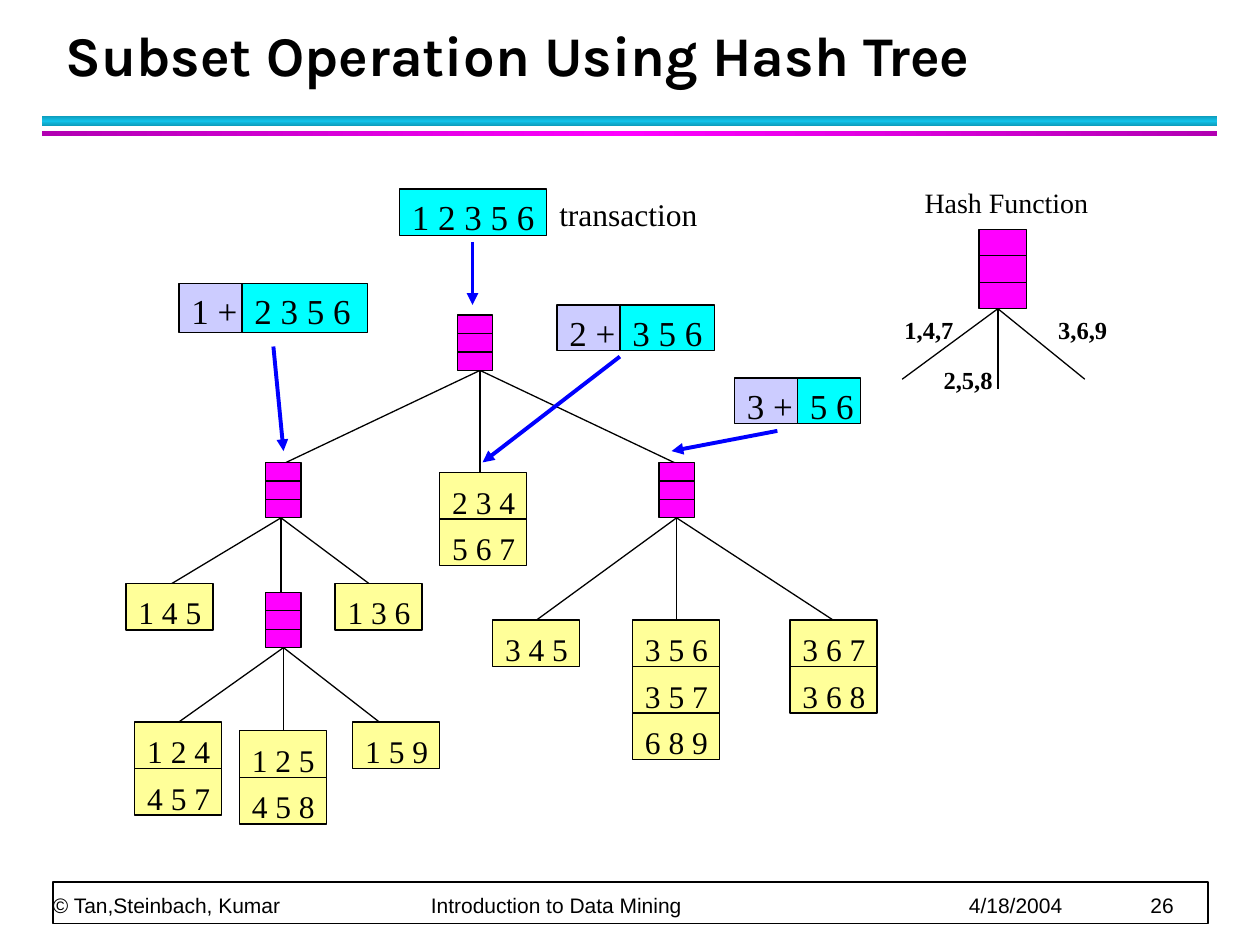
from copy import deepcopy
from typing import NamedTuple

from lxml import etree
from pptx import Presentation
from pptx.dml.color import RGBColor
from pptx.enum import shapes, text
from pptx.oxml import ns
from pptx.util import Inches, Pt

BLACK = RGBColor(0, 0, 0)
WHITE = RGBColor(255, 255, 255)
PINK = RGBColor(255, 0, 255)
PLUM = RGBColor(0xB2, 0, 0xB2)
CYAN = RGBColor(0, 255, 255)
SKY = RGBColor(0x12, 0xC2, 0xE9)
TEAL = RGBColor(0x0E, 0x9B, 0xBA)
LILAC = RGBColor(0xCC, 0xCC, 0xFF)
CREAM = RGBColor(0xFF, 0xFF, 0x99)
BLUE = RGBColor(0, 0, 255)
SERIF = "Times New Roman"
LEAF_W, LEAF_H = 0.69, 0.37
CELL_W = 0.5


class Node(NamedTuple):
    """A three-cell hash node with edges from its stem to each end."""
    left: float
    top: float
    width: float
    height: float
    stem: float
    ends: list[tuple[float, float]]


class Leaf(NamedTuple):
    left: float
    top: float
    rows: list[str]


class Split(NamedTuple):
    """A chosen prefix item beside the items still to be matched."""
    left: float
    top: float
    height: float
    head: str
    rest: str
    width: float


class Arrow(NamedTuple):
    x1: float
    y1: float
    x2: float
    y2: float


class Label(NamedTuple):
    left: float
    top: float
    width: float
    words: str
    size: int
    bold: bool


NODES = [
    Node(3.63, 2.5, 0.28, 0.44, 3.81, [(2.25, 3.68), (3.81, 3.75), (5.37, 3.68)]),
    Node(2.11, 3.67, 0.28, 0.44, 2.23, [(1.35, 4.64), (2.23, 4.7), (2.94, 4.64)]),
    Node(5.23, 3.67, 0.28, 0.44, 5.37, [(4.26, 4.92), (5.37, 4.92), (6.61, 4.92)]),
    Node(2.11, 4.7, 0.28, 0.44, 2.25, [(1.42, 5.73), (2.25, 5.8), (3.01, 5.73)]),
    Node(7.77, 1.82, 0.38, 0.63, 7.92, [(7.16, 3.01), (7.92, 3.09), (8.61, 3.01)]),
]
LEAVES = [
    Leaf(1, 4.63, ["1 4 5"]),
    Leaf(2.66, 4.63, ["1 3 6"]),
    Leaf(3.49, 3.75, ["2 3 4", "5 6 7"]),
    Leaf(1.07, 5.73, ["1 2 4", "4 5 7"]),
    Leaf(1.9, 5.8, ["1 2 5", "4 5 8"]),
    Leaf(2.8, 5.73, ["1 5 9"]),
    Leaf(3.91, 4.92, ["3 4 5"]),
    Leaf(5.02, 4.92, ["3 5 6", "3 5 7", "6 8 9"]),
    Leaf(6.27, 4.92, ["3 6 7", "3 6 8"]),
]
SPLITS = [
    Split(1.42, 2.25, 0.39, "1 +", "2 3 5 6", 1),
    Split(4.42, 2.42, 0.36, "2 +", "3 5 6", 0.75),
    Split(5.83, 3, 0.36, "3 +", "5 6", 0.5),
]
ARROWS = [
    Arrow(3.75, 1.92, 3.75, 2.42),
    Arrow(2.17, 2.75, 2.25, 3.58),
    Arrow(4.92, 2.83, 3.83, 3.67),
    Arrow(6.17, 3.42, 5.33, 3.58),
]
LABELS = [
    Label(4.34, 1.5, 1.29, "transaction", 18, False),
    Label(7.24, 1.42, 1.5, "Hash Function", 16, False),
    Label(7.08, 2.45, 0.59, "1,4,7", 14, True),
    Label(7.39, 2.85, 0.59, "2,5,8", 14, True),
    Label(8.3, 2.45, 0.59, "3,6,9", 14, True),
]

deck = Presentation()
deck.slide_width, deck.slide_height = Inches(10), Inches(7.5)
slide = deck.slides.add_slide(deck.slide_layouts[5])


def write(shape, words, size, font=SERIF, bold=False, pad=(0.1, 0.05, 0, 0),
          anchor=text.MSO_ANCHOR.TOP, lead=None):
    frame = shape.text_frame
    frame.word_wrap = True
    frame.auto_size = text.MSO_AUTO_SIZE.NONE
    frame.vertical_anchor = anchor
    (frame.margin_left, frame.margin_top,
     frame.margin_right, frame.margin_bottom) = map(Inches, pad)
    para = frame.paragraphs[0]
    para.alignment = text.PP_ALIGN.LEFT
    if lead:
        para.line_spacing = Pt(lead)
    run = para.add_run()
    run.text = words
    run.font.size, run.font.name, run.font.bold = Pt(size), font, bold
    run.font.color.rgb = BLACK
    return para


def add_box(left: float, top: float, width: float, height: float,
            fill: RGBColor, weight: float = 0.75):
    box = slide.shapes.add_shape(shapes.MSO_SHAPE.RECTANGLE,
                                 *map(Inches, (left, top, width, height)))
    box.shadow.inherit = False
    box.fill.solid()
    box.fill.fore_color.rgb = fill
    box.line.color.rgb = BLACK
    box.line.width = Pt(weight)
    return box


def add_line(x1: float, y1: float, x2: float, y2: float,
             color: RGBColor = BLACK, weight: float = 0.75, arrow: bool = False):
    line = slide.shapes.add_connector(shapes.MSO_CONNECTOR.STRAIGHT,
                                      *map(Inches, (x1, y1, x2, y2)))
    line.line.color.rgb = color
    line.line.width = Pt(weight)
    if arrow:
        etree.SubElement(line.line._get_or_add_ln(), ns.qn("a:tailEnd"), type="triangle")
    etree.SubElement(line._element.spPr, ns.qn("a:effectLst"))


def add_band(top: float, height: float, edge: RGBColor, mid: RGBColor, angle: int):
    """Draw a title rule shaded from edge to mid and back."""
    band = add_box(0.33, top, 9.33, height, edge)
    band.line.fill.background()
    band.fill.gradient()
    band.fill.gradient_angle = angle
    stops = band.fill.gradient_stops
    stops[0].color.rgb, stops[1].color.rgb = edge, mid
    stops[1].position = 0.5
    first = band._element.spPr.find(".//" + ns.qn("a:gs"))
    last = deepcopy(first)
    last.set("pos", "100000")
    first.getparent().append(last)


def add_node(node: Node):
    add_box(node.left, node.top, node.width, node.height, PINK)
    for i in (1, 2):
        y = node.top + node.height * i / 3
        add_line(node.left, y, node.left + node.width, y)


def add_leaf(leaf: Leaf):
    for i, row in enumerate(leaf.rows):
        box = add_box(leaf.left, leaf.top + i * LEAF_H, LEAF_W, LEAF_H, CREAM)
        write(box, row, 18, pad=(0.1, 0.08, 0, 0))


def add_split(split: Split):
    head = add_box(split.left, split.top, CELL_W, split.height, LILAC)
    write(head, split.head, 20)
    rest = add_box(split.left + CELL_W, split.top, split.width, split.height, CYAN)
    write(rest, split.rest, 20)


def add_text(left: float, top: float, width: float, height: float):
    return slide.shapes.add_textbox(*map(Inches, (left, top, width, height)))


def add_foot():
    add_box(0.42, 7, 9.17, 0.33, WHITE, 1)
    words = "© Tan,Steinbach, Kumar\tIntroduction to Data Mining\t4/18/2004\t26"
    para = write(add_text(0.42, 6.72, 9.15, 0.56), words, 12, "Arial",
                 pad=(0, 0, 0, 0), anchor=text.MSO_ANCHOR.BOTTOM, lead=20)
    tabs = etree.SubElement(para._p.get_or_add_pPr(), ns.qn("a:tabLst"))
    for stop in (3, 7.27, 8.71):
        etree.SubElement(tabs, ns.qn("a:tab"), pos=str(Inches(stop)), algn="l")


def main():
    add_band(0.92, 0.08, TEAL, SKY, 90)
    add_band(1.04, 0.04, PLUM, PINK, 0)
    add_foot()
    title = slide.shapes.title
    title.left, title.top, title.width, title.height = map(Inches, (0.42, 0.17, 9.06, 0.58))
    write(title, "Subset Operation Using Hash Tree", 32, "Karla", True,
          (0.1, 0.05, 0.1, 0.05), text.MSO_ANCHOR.BOTTOM, 36)
    for node in NODES:
        for end in node.ends:
            add_line(node.stem, node.top + node.height, *end)
    for node in NODES:
        add_node(node)
    for leaf in LEAVES:
        add_leaf(leaf)
    write(add_box(3.17, 1.5, 1.17, 0.37, CYAN), "1 2 3 5 6", 20)
    for arrow in ARROWS:
        add_line(*arrow, BLUE, 2.25, True)
    for split in SPLITS:
        add_split(split)
    for label in LABELS:
        box = add_text(label.left, label.top, label.width, 0.37)
        write(box, label.words, label.size, bold=label.bold)
    deck.save("out.pptx")


if __name__ == "__main__":
    main()
